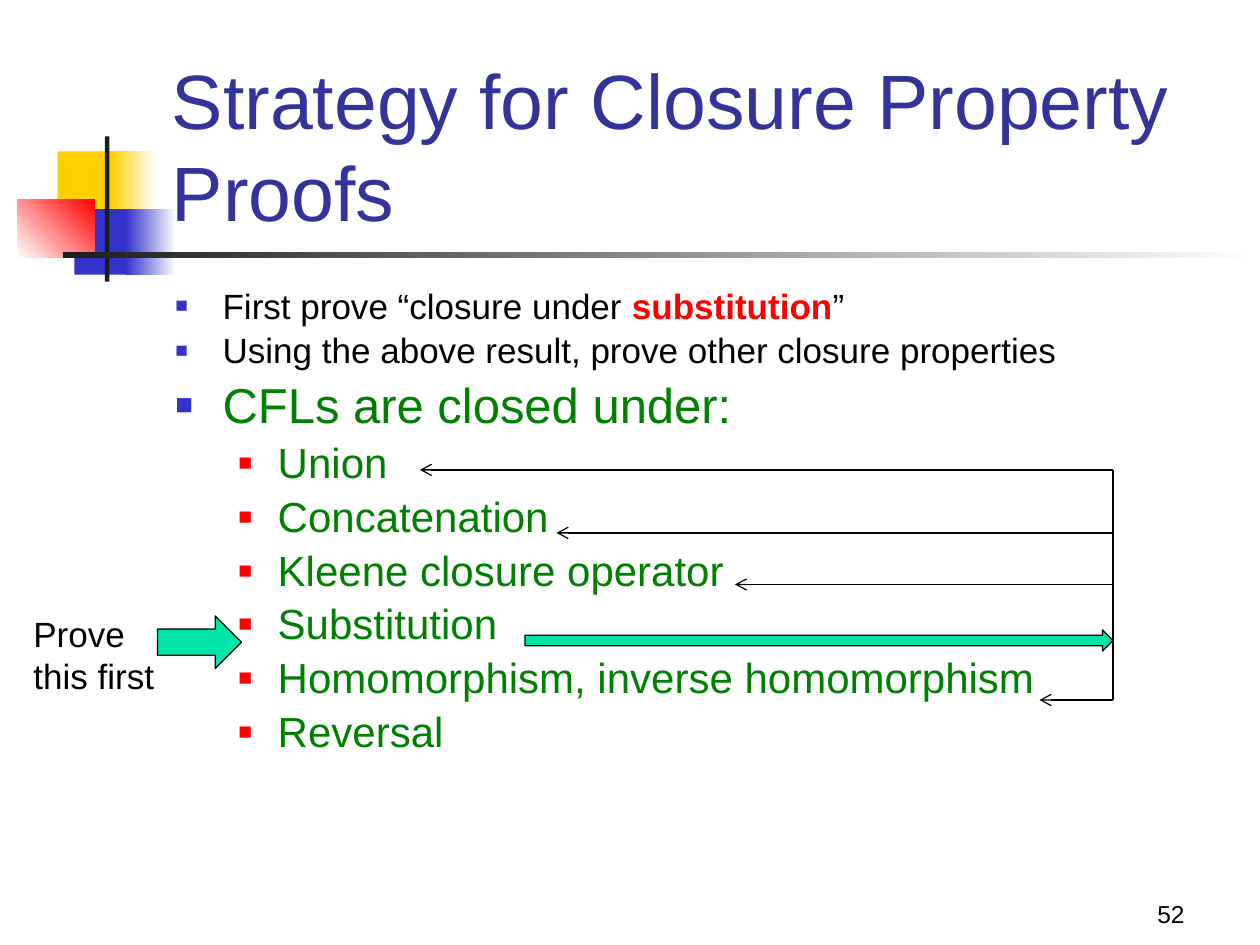
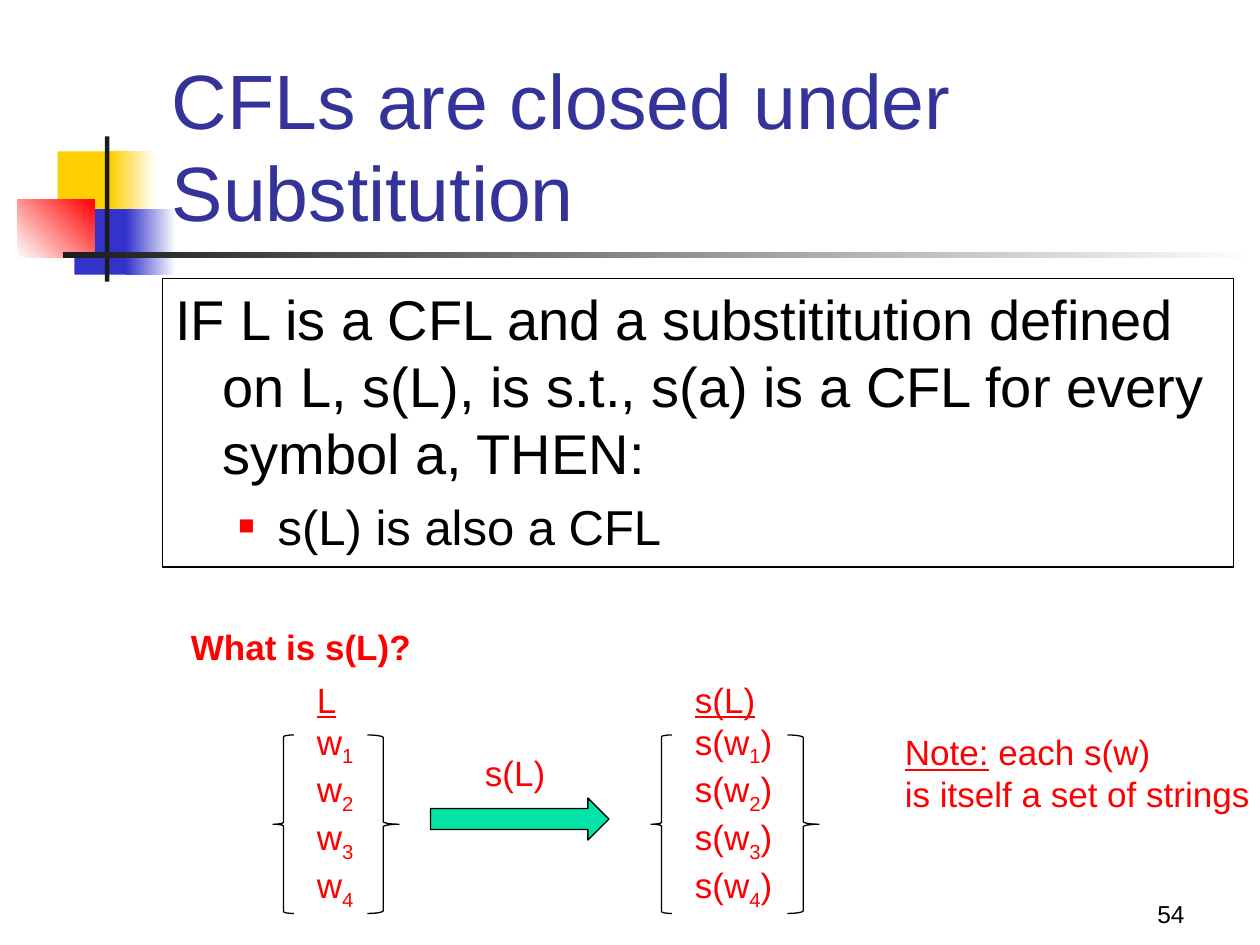
from lxml.etree import SubElement
from pptx import Presentation
from pptx.dml.color import RGBColor
from pptx.enum.shapes import MSO_CONNECTOR as Connector, MSO_SHAPE as Shape
from pptx.enum.text import MSO_ANCHOR as Anchor, MSO_AUTO_SIZE as AutoSize, PP_ALIGN as Align
from pptx.oxml.ns import qn
from pptx.util import Pt

FONT = "Arial"
BLACK = RGBColor(0, 0, 0)
WHITE = RGBColor(255, 255, 255)
INK = RGBColor(0x1C, 0x1C, 0x1C)
NAVY = RGBColor(0x33, 0x33, 0x99)
BLUE = RGBColor(0x33, 0x33, 0xCC)
YELLOW = RGBColor(0xFF, 0xCF, 0x01)
RED = RGBColor(0xFF, 0, 0)
GREEN = RGBColor(0, 0x80, 0)
MINT = RGBColor(0, 0xE4, 0xA8)


def write(para, text, size=20, color=BLACK, bold=False, underline=False, subscript=False):
    for index, line in enumerate(text.split("\n")):
        if index:
            para.add_line_break()
        span = para.add_run()
        span.text = line
        span.font.name = FONT
        span.font.size = Pt(size)
        span.font.color.rgb = color
        span.font.bold = bold
        span.font.underline = underline
        if subscript:
            span._r.get_or_add_rPr().set("baseline", "-25000")


def draw(page, kind, at, fill=None, fade=None, angle=0, outline=None):
    shape = page.shapes.add_shape(kind, *map(Pt, at))
    shape.shadow.inherit = False
    if fade is not None:
        shape.fill.gradient()
        shape.fill.gradient_angle = angle
        for stop, color in zip(shape.fill.gradient_stops, (fill, fade)):
            stop.color.rgb = color
    elif fill is not None:
        shape.fill.solid()
        shape.fill.fore_color.rgb = fill
    else:
        shape.fill.background()
    if outline is None:
        shape.line.fill.background()
    else:
        shape.line.color.rgb = outline
        shape.line.width = Pt(0.75)
    return shape


deck = Presentation()
deck.slide_width, deck.slide_height = Pt(720), Pt(540)
layout = deck.slide_layouts[1]

# Shared title and body places
for holder, place in zip(layout.placeholders, [(91, 49, 613, 90), (93, 159, 612, 324)]):
    holder.left, holder.top, holder.width, holder.height = map(Pt, place)

strategy = deck.slides.add_slide(layout)
substitution = deck.slides.add_slide(layout)

# Shared coloured blocks and rules, moved into the layout
for at, fill, fade, angle in [
    ((33, 86.5, 34.5, 37.5), YELLOW, None, 0),
    ((63, 86.5, 26, 37.5), YELLOW, WHITE, 0),
    ((42.5, 119.5, 33, 37.5), BLUE, None, 0),
    ((72, 119.5, 28.5, 37.5), BLUE, WHITE, 0),
    ((10, 113.75, 44, 33.5), WHITE, RED, 45),
    ((60, 78, 2.5, 83), INK, None, 0),
    ((36, 144, 684, 3.5), INK, WHITE, 0),
]:
    block = draw(strategy, Shape.RECTANGLE, at, fill, fade, angle)
    layout.element.cSld.spTree.append(block.element)

# Titles and page numbers
for page, title, number in [
    (strategy, "Strategy for Closure Property Proofs", "52"),
    (substitution, "CFLs are closed under Substitution", "54"),
]:
    frame = page.shapes.title.text_frame
    frame.auto_size = AutoSize.NONE
    frame.vertical_anchor = Anchor.BOTTOM
    frame.paragraphs[0].alignment = Align.LEFT
    write(frame.paragraphs[0], title, size=44, color=NAVY)

    frame = page.shapes.add_textbox(Pt(534), Pt(498), Pt(150), Pt(36)).text_frame
    frame.word_wrap = True
    frame.vertical_anchor = Anchor.BOTTOM
    frame.paragraphs[0].alignment = Align.RIGHT
    write(frame.paragraphs[0], number, size=14)

# Body lists: level, bulleted, line spacing, size, colour, spans
closed_under = ["Union", "Concatenation", "Kleene closure operator", "Substitution",
                "Homomorphism, inverse homomorphism", "Reversal"]
strategy_list = [
    (0, True, 1, 20, BLACK, [("First prove “closure under ", {}),
                             ("substitution", {"color": RED, "bold": True}), ("”", {})]),
    (0, True, 0.9, 20, BLACK,
     [("Using the above result, prove other closure properties", {})]),
    (0, True, 0.9, 28, GREEN, [("CFLs are closed under:", {})]),
] + [(1, True, 0.9, 24, GREEN, [(name, {})]) for name in closed_under]
theorem = [
    (0, False, 1, 32, BLACK,
     [("IF L is a CFL and a substititution defined on L, s(L), is s.t., "
       "s(a) is a CFL for every symbol a, THEN:", {})]),
    (1, True, 1, 28, BLACK, [("s(L) is also a CFL", {})]),
]
# Left margin, hanging indent, bullet colour, bullet percent
levels = [(27, 27, "3333CC", 60), (58.5, 22.5, "FF0000", 55)]

for page, items in [(strategy, strategy_list), (substitution, theorem)]:
    frame = page.placeholders[1].text_frame
    frame.auto_size = AutoSize.NONE
    for index, (level, bulleted, spacing, size, color, spans) in enumerate(items):
        para = frame.add_paragraph() if index else frame.paragraphs[0]
        para.level = level
        para.line_spacing = spacing
        para.space_before = Pt(size * 0.2)
        margin, hanging, bullet_color, percent = levels[level]
        props = para._p.get_or_add_pPr()
        props.set("marL", str(Pt(margin)))
        props.set("indent", str(-Pt(hanging)))
        if bulleted:
            SubElement(SubElement(props, qn("a:buClr")), qn("a:srgbClr"), val=bullet_color)
            SubElement(props, qn("a:buSzPct"), val=str(percent * 1000))
            SubElement(props, qn("a:buFont"), typeface=FONT)
            SubElement(props, qn("a:buChar"), char="■")
        else:
            SubElement(props, qn("a:buNone"))
        for text, style in spans:
            write(para, text, **{"size": size, "color": color, **style})

# Frame around the theorem
body = substitution.placeholders[1]
body.left, body.top, body.width, body.height = Pt(93), Pt(159), Pt(612), Pt(165)
body.line.color.rgb = BLACK
body.line.width = Pt(0.75)

# Block arrows
for page, at in [
    (strategy, (90, 352, 48, 30)),
    (strategy, (300, 360, 336, 12)),
    (substitution, (246, 456, 102, 24)),
]:
    draw(page, Shape.RIGHT_ARROW, at, MINT, outline=BLACK)

# Lines from substitution to the properties it proves
trunk, top, bottom = 636, 268.5, 400
branches = [(240, top), (318, 304.5), (420, 334), (594, bottom)]
for end_x, end_y, start_y in [(trunk, top, bottom)] + [(x, y, y) for x, y in branches]:
    line = strategy.shapes.add_connector(
        Connector.STRAIGHT, Pt(trunk), Pt(start_y), Pt(end_x), Pt(end_y))
    line.line.color.rgb = BLACK
    line.line.width = Pt(0.75)
    if end_x != trunk:
        SubElement(line.element.spPr.get_or_add_ln(), qn("a:tailEnd"), type="arrow")
    SubElement(line.element.spPr, qn("a:effectLst"))

# Braces around the two sets
for kind, left, width in [
    (Shape.LEFT_BRACE, 156, 12), (Shape.RIGHT_BRACE, 210, 18),
    (Shape.LEFT_BRACE, 372, 12), (Shape.RIGHT_BRACE, 450, 18),
]:
    draw(substitution, kind, (left, 420, width, 102), outline=BLACK)

# Free text: page, place, paragraphs of spans
red = {"color": RED}
red_underlined = {"color": RED, "underline": True}
red_subscript = {"color": RED, "subscript": True}
labels = [
    (strategy, (12, 346.5, 84, 55.5), [[("Prove\nthis first", {})]]),
    (substitution, (102, 354, 141, 31.5), [[("What is s(L)?", {"color": RED, "bold": True})]]),
    (substitution, (270, 426, 49, 31.5), [[("s(L)", red)]]),
    (substitution, (510, 414, 213, 55.5),
     [[("Note:", red_underlined), (" each s(w)\nis itself a set of strings", red)]]),
]
for left, width, heading, opening, closing in [
    (174, 37, "L", "w", ""), (390, 60, "s(L)", "s(w", ")"),
]:
    members = [[(opening, red), (str(number), red_subscript)] + ([(closing, red)] if closing else [])
               for number in range(1, 5)]
    labels.append((substitution, (left, 384, width, 144.5),
                   [[(heading, red_underlined)], *members, [("…", red_subscript)]]))

for page, at, paragraphs in labels:
    frame = page.shapes.add_textbox(*map(Pt, at)).text_frame
    frame.word_wrap = False
    for index, spans in enumerate(paragraphs):
        para = frame.add_paragraph() if index else frame.paragraphs[0]
        for text, style in spans:
            write(para, text, **style)

deck.save("out.pptx")
